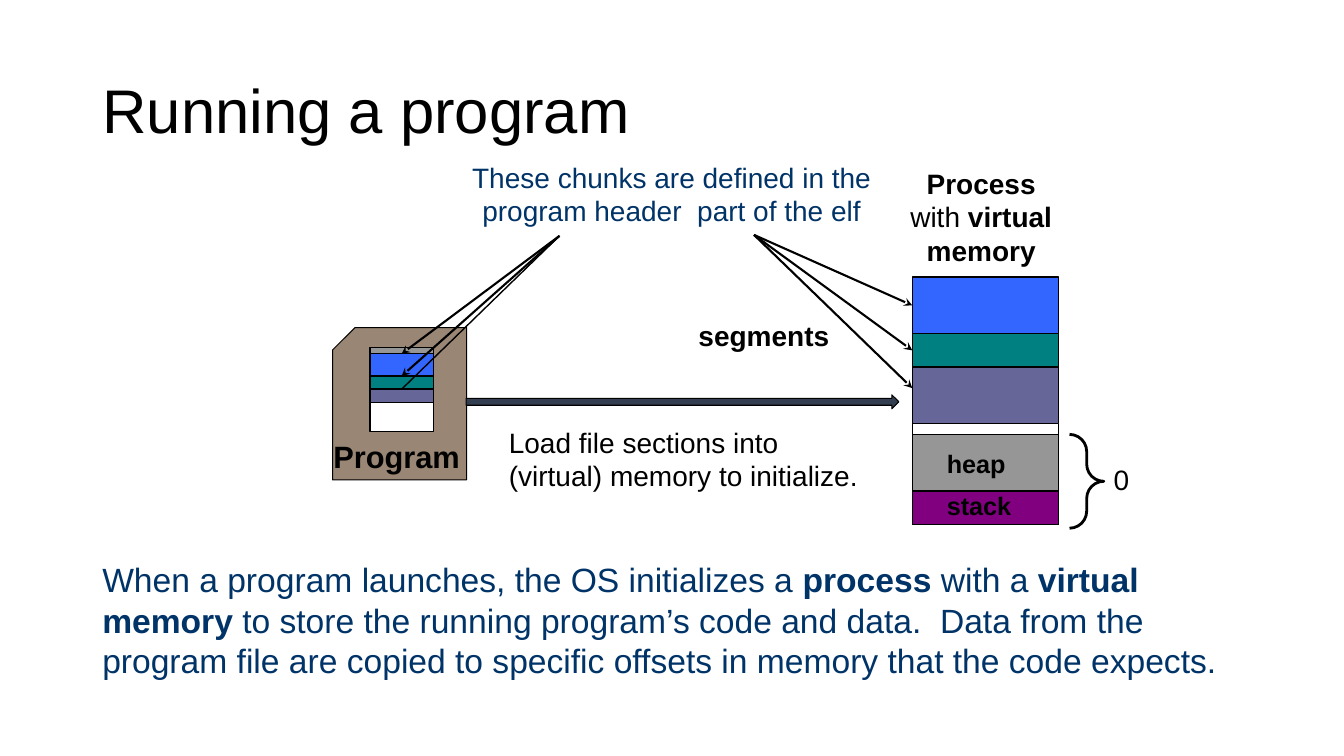
from pptx import Presentation
from pptx.dml.color import RGBColor
from pptx.enum.shapes import MSO_CONNECTOR as Connector, MSO_SHAPE as Shape
from pptx.enum.text import MSO_ANCHOR as Anchor, PP_ALIGN as Align
from pptx.oxml.ns import qn
from pptx.util import Pt
from lxml.etree import SubElement

COLORS = {
    "black": "000000", "white": "FFFFFF", "navy": "003367", "file": "998674",
    "arrow": "333F50", "blue": "3366FF", "teal": "008080", "violet": "666699",
    "gray": "969696", "purple": "800080",
}


def color(name):
    return RGBColor.from_string(COLORS[name])


def write(frame, paragraphs, size=20, ink="black", bold=False, align=Align.LEFT, spacing=None):
    for index, pieces in enumerate(paragraphs):
        paragraph = frame.paragraphs[0] if index == 0 else frame.add_paragraph()
        paragraph.alignment = align
        paragraph.line_spacing = spacing
        for position, piece in enumerate(pieces.split("*")):
            if not piece:
                continue
            run = paragraph.add_run()
            run.text = piece
            run.font.name = "Arial"
            run.font.size = Pt(size)
            run.font.bold = bold or position % 2 == 1
            run.font.color.rgb = color(ink)


class Board:
    def __init__(self, slide):
        self.slide = slide

    def title(self, text, left, top, width, height):
        title = self.slide.shapes.title
        title.left, title.top, title.width, title.height = map(Pt, (left, top, width, height))
        title.text_frame.vertical_anchor = Anchor.MIDDLE
        write(title.text_frame, [text], size=44, spacing=0.9)

    def label(self, paragraphs, left, top, width, height, wrap=True, **style):
        label = self.slide.shapes.add_textbox(*map(Pt, (left, top, width, height)))
        label.text_frame.word_wrap = wrap
        write(label.text_frame, paragraphs, **style)

    def shape(self, kind, left, top, width, height, fill=None, weight=0.75):
        shape = self.slide.shapes.add_shape(kind, *map(Pt, (left, top, width, height)))
        shape.shadow.inherit = False
        if fill:
            shape.fill.solid()
            shape.fill.fore_color.rgb = color(fill)
        else:
            shape.fill.background()
        shape.line.color.rgb = color("black")
        shape.line.width = Pt(weight)
        return shape

    def stack(self, left, top, width, bands):
        boxes = []
        for fill, height in bands:
            boxes.append(self.shape(Shape.FLOWCHART_PROCESS, left, top, width, height, fill, 1))
            top += height
        return boxes

    def pointer(self, target, source, box=None, side=0, weight=1.5, head=True):
        pointer = self.slide.shapes.add_connector(Connector.STRAIGHT, *map(Pt, target + source))
        if box is not None:
            pointer.begin_connect(box, side)
        pointer.line.color.rgb = color("black")
        pointer.line.width = Pt(weight)
        if head:
            SubElement(pointer.line._get_or_add_ln(), qn("a:headEnd"), type="stealth")
        SubElement(pointer.element.spPr, qn("a:effectLst"))


def main():
    deck = Presentation()
    deck.slide_width, deck.slide_height = Pt(960), Pt(540)
    board = Board(deck.slides.add_slide(deck.slide_layouts[5]))

    program = board.shape(Shape.SNIP_1_RECTANGLE, 237.6, 234, 95.8, 108.7, "file")
    program.element.spPr.find(qn("a:xfrm")).set("flipH", "1")
    board.label(["Program"], 231, 309, 145, 34, size=22, bold=True)
    board.shape(Shape.RIGHT_ARROW, 333, 282, 309, 10, "arrow")
    board.title("Running a program", 66, 28.8, 828, 104.4)
    board.label(
        ["When a program launches, the OS initializes a *process* with a *virtual memory *"
         "to store the running program’s code and data.  Data from the program file are "
         "copied to specific offsets in memory that the code expects."],
        66, 396, 828, 94.3, size=24, ink="navy")

    segments = board.stack(651.6, 198, 104.5, [
        ("blue", 40.2), ("teal", 24.1), ("violet", 40.2),
        ("white", 8), ("gray", 40.2), ("purple", 24.1)])
    chunks = board.stack(264.2, 248.4, 45.4, [
        ("gray", 4.3), ("blue", 15.9), ("teal", 9.4), ("violet", 9.4), ("white", 21)])

    chunk_source, segment_source = (399.6, 168.5), (538.6, 167.8)
    for chunk, y in zip(chunks[1:3], (252.7, 268.6)):
        board.pointer((286.9, y), chunk_source, chunk, 0)
    board.pointer((286.9, 278), chunk_source, chunks[3], 0, weight=1, head=False)
    for segment, y in zip(segments[:2], (218.1, 250.3)):
        board.pointer((651.6, y), segment_source, segment, 1)
    board.pointer((651.6, 277.2), segment_source)

    board.label(["These chunks are defined in the", "program header  part of the elf"],
                329, 110.9, 301.7, 55.4, wrap=False, ink="navy", align=Align.CENTER)
    board.label(["segments"], 491.8, 224, 145, 31.7, bold=True)
    board.label(["*Process *with* virtual memory*"], 642.2, 115.2, 117.4, 106.6,
                align=Align.CENTER)
    board.label(["Load file sections into (virtual) memory to initialize."],
                356.4, 300.2, 270.7, 56.2)
    brace = board.shape(Shape.RIGHT_BRACE, 764, 310.3, 24.5, 67, weight=2)
    brace.adjustments[0] = brace.adjustments[1] = 0.5
    board.label(["0"], 788.4, 326.9, 24.5, 31.7)
    for region, top in (("stack", 347), ("heap", 316.8)):
        board.label([region], 669.2, top, 62.6, 29.5, size=18, bold=True)

    deck.save("out.pptx")


if __name__ == "__main__":
    main()
